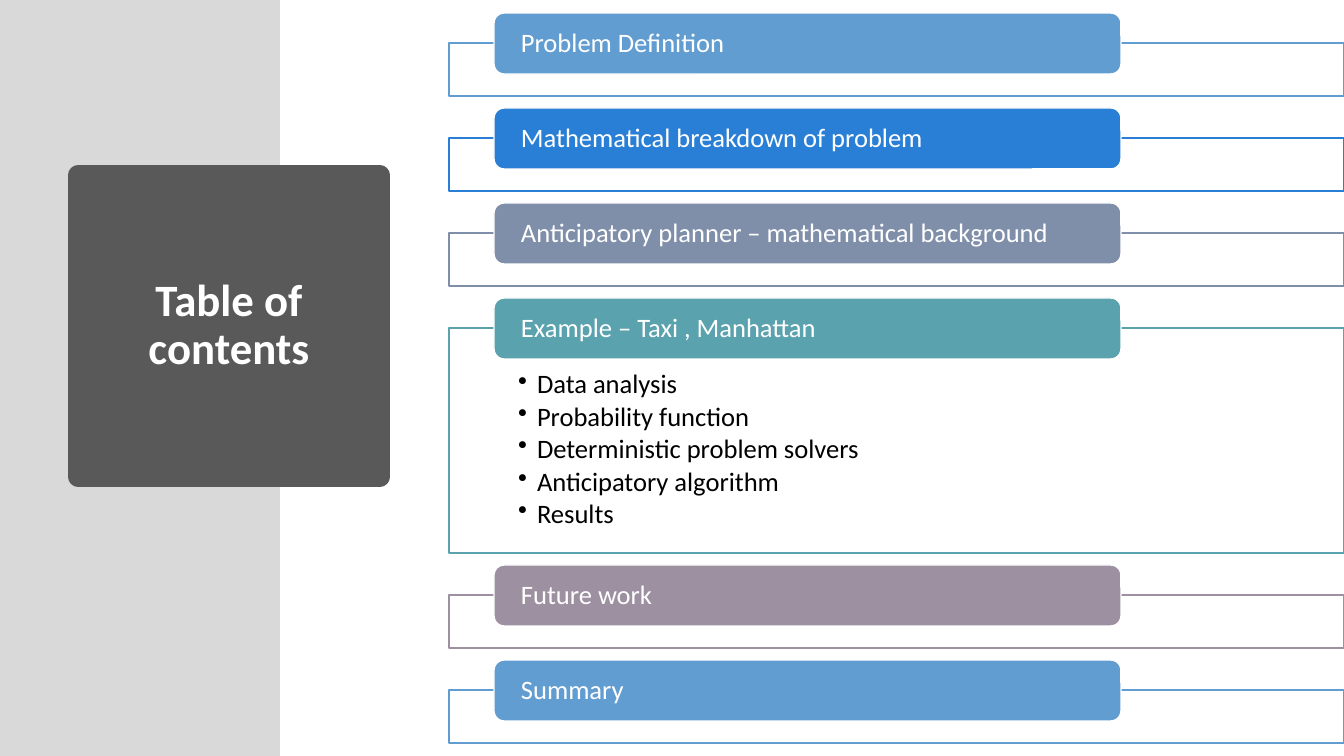
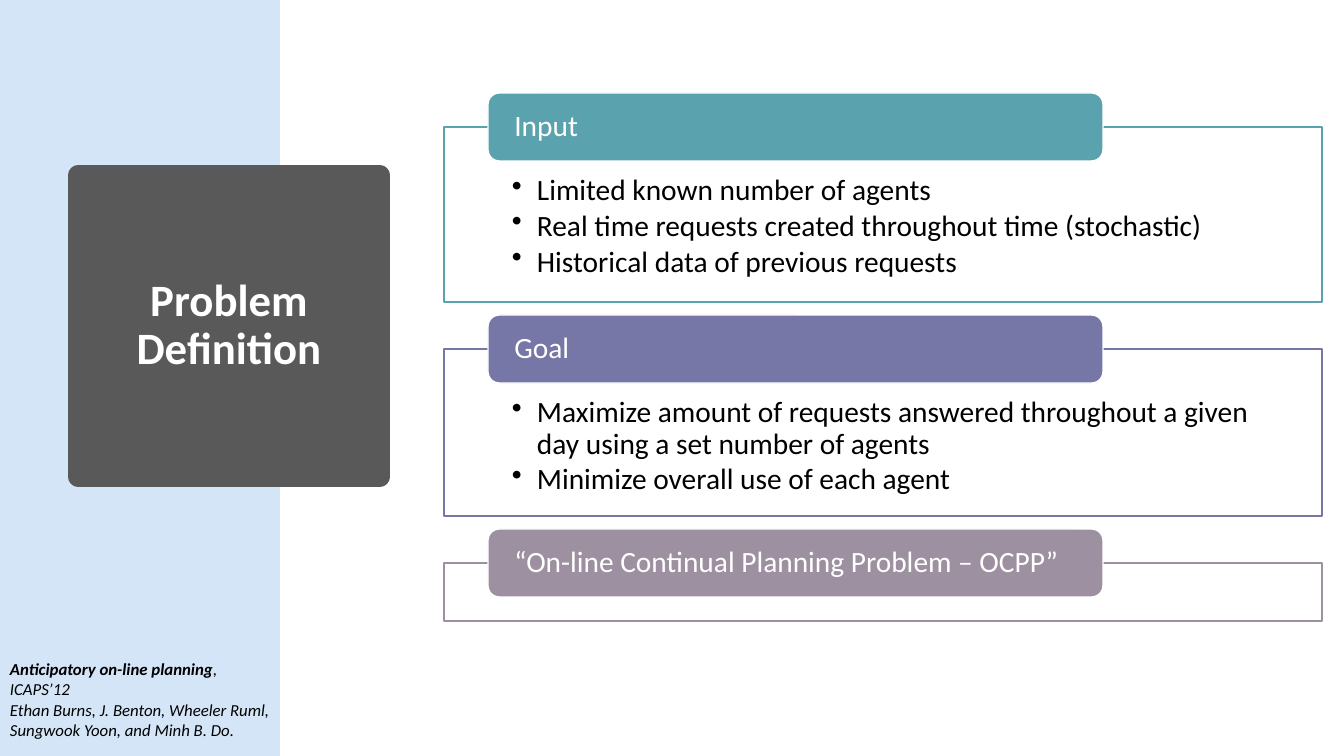
from lxml.etree import SubElement
from pptx import Presentation
from pptx.dml.color import RGBColor
from pptx.enum.shapes import MSO_SHAPE
from pptx.enum.text import MSO_ANCHOR, MSO_AUTO_SIZE, PP_ALIGN
from pptx.oxml.ns import qn
from pptx.util import Emu, Pt

WIDTH, HEIGHT = 1344, 756
SCALE = 12192000 / WIDTH

WHITE = RGBColor(0xFF, 0xFF, 0xFF)
BLACK = RGBColor(0x00, 0x00, 0x00)
CHARCOAL = RGBColor(0x59, 0x59, 0x59)
GREY = RGBColor(0xD9, 0xD9, 0xD9)
PALE_BLUE = RGBColor(0xD4, 0xE5, 0xF7)
SKY = RGBColor(0x62, 0x9D, 0xD1)
BLUE = RGBColor(0x29, 0x7F, 0xD5)
SLATE = RGBColor(0x7F, 0x8F, 0xA9)
TEAL = RGBColor(0x5A, 0xA2, 0xAE)
VIOLET = RGBColor(0x76, 0x77, 0xA6)
MAUVE = RGBColor(0x9D, 0x90, 0xA0)

CONTENTS_LIST = dict(
    top=13, frame_left=449, frame_width=895, tab_left=494, tab_width=627,
    tab_height=61, overlap=30, gap=12, size=19, tab_inset=24,
    insets=(69, 43, 69, 15), indent=19)
PROBLEM_LIST = dict(
    top=93, frame_left=444, frame_width=878, tab_left=488, tab_width=615,
    tab_height=68, overlap=34, gap=13, size=21, tab_inset=23,
    insets=(68, 48, 68, 16), indent=25)

CONTENTS = [
    ("Problem Definition", SKY, 53, []),
    ("Mathematical breakdown of problem", BLUE, 53, []),
    ("Anticipatory planner – mathematical background", SLATE, 53, []),
    ("Example – Taxi , Manhattan", TEAL, 225, [
        "Data analysis",
        "Probability function",
        "Deterministic problem solvers",
        "Anticipatory algorithm",
        "Results"]),
    ("Future work", MAUVE, 53, []),
    ("Summary", SKY, 53, []),
]
PROBLEM = [
    ("Input", TEAL, 175, [
        "Limited known number of agents",
        "Real time requests created throughout time (stochastic)",
        "Historical data of previous requests"]),
    ("Goal", VIOLET, 167, [
        "Maximize amount of requests answered throughout a given day "
        "using a set number of agents",
        "Minimize overall use of each agent"]),
    ("“On-line Continual Planning Problem – OCPP”", MAUVE, 58, []),
]
CITATION = [
    [("Anticipatory on-line planning", True), (", ICAPS’12", False)],
    [("Ethan Burns, J. Benton, Wheeler Ruml, Sungwook Yoon, and Minh B. Do.", False)],
]


def px(length):
    """Turn a length in px into EMU."""
    return Emu(round(length * SCALE))


def apply(target, values):
    """Set each attribute of the target from a dict."""
    for name, value in values.items():
        setattr(target, name, value)


class Deck:
    """Hold the shared style and the slide being built."""

    def __init__(self):
        """Start an empty widescreen presentation."""
        self.presentation = Presentation()
        apply(self.presentation, dict(slide_width=px(WIDTH), slide_height=px(HEIGHT)))
        self.slide = None

    def add_slide(self, title, band_color):
        """Add a slide with a side band and its title in a circle."""
        self.slide = self.presentation.slides.add_slide(self.presentation.slide_layouts[5])
        self.shape(MSO_SHAPE.RECTANGLE, (0, 0, 280, HEIGHT), band_color)
        self.title(title)

    def title(self, text):
        """Shape the title placeholder as a circle in front of the band."""
        shape = self.slide.shapes.title
        apply(shape, dict(left=px(78), top=px(175), width=px(302), height=px(302)))
        properties = shape.element.spPr
        geometry = SubElement(properties, qn("a:prstGeom"), prst="ellipse")
        SubElement(geometry, qn("a:avLst"))
        self.paint(shape, CHARCOAL, CHARCOAL, 13.75)
        self.slide.shapes.element.append(shape.element)
        self.text(shape, [[(text, True)]], 32, WHITE, (10, 5, 10, 5),
                  MSO_ANCHOR.MIDDLE, dict(alignment=PP_ALIGN.CENTER, line_spacing=0.9))

    def paint(self, shape, fill, line=None, line_width=1):
        """Give a shape its fill and outline."""
        shape.fill.solid()
        shape.fill.fore_color.rgb = fill
        if line is None:
            shape.line.fill.background()
        else:
            shape.line.color.rgb = line
            shape.line.width = Pt(line_width)

    def shape(self, kind, box, fill, line=None):
        """Add a flat preset shape."""
        shape = self.slide.shapes.add_shape(kind, *map(px, box))
        shape.shadow.inherit = False
        self.paint(shape, fill, line)
        return shape

    def text(self, shape, paragraphs, size, color, insets, anchor, layout,
             italic=False, indent=0):
        """Write paragraphs of (text, bold) runs, bulleted when indented."""
        frame = shape.text_frame
        sides = ("margin_left", "margin_top", "margin_right", "margin_bottom")
        apply(frame, dict(zip(sides, map(px, insets))))
        apply(frame, dict(word_wrap=True, auto_size=MSO_AUTO_SIZE.NONE,
                          vertical_anchor=anchor))
        for index, runs in enumerate(paragraphs):
            paragraph = frame.add_paragraph() if index else frame.paragraphs[0]
            if indent:
                self.bullet(paragraph, indent)
            apply(paragraph, layout)
            for words, bold in runs:
                run = paragraph.add_run()
                run.text = words
                apply(run.font, dict(name="Calibri", size=Pt(size), bold=bold, italic=italic))
                run.font.color.rgb = color

    def bullet(self, paragraph, indent):
        """Hang a paragraph behind a round bullet."""
        properties = paragraph._p.get_or_add_pPr()
        properties.set("marL", str(px(indent)))
        properties.set("indent", str(-px(indent)))
        SubElement(properties, qn("a:buChar"), char="•")

    def tabbed_list(self, sections, style):
        """Stack outlined frames, each with a coloured tab over its top edge."""
        top, size = style["top"], style["size"]
        layout = dict(alignment=PP_ALIGN.LEFT, line_spacing=0.9)
        for heading, color, height, items in sections:
            frame_top = top + style["overlap"]
            frame = self.shape(
                MSO_SHAPE.RECTANGLE,
                (style["frame_left"], frame_top, style["frame_width"], height), WHITE, color)
            tint = frame.element.spPr.find(qn("a:solidFill"))[0]
            SubElement(tint, qn("a:alpha"), val="90000")
            if items:
                self.text(frame, [[(item, False)] for item in items], size, BLACK,
                          style["insets"], MSO_ANCHOR.TOP,
                          dict(layout, space_after=Pt(size * 0.14)), indent=style["indent"])
            tab = self.shape(
                MSO_SHAPE.ROUNDED_RECTANGLE,
                (style["tab_left"], top, style["tab_width"], style["tab_height"]), color, WHITE)
            inset = style["tab_inset"]
            self.text(tab, [[(heading, False)]], size, WHITE, (inset, 0, inset, 0),
                      MSO_ANCHOR.MIDDLE, layout)
            top = frame_top + height + style["gap"]

    def citation(self, paragraphs):
        """Place a small italic reference at the foot of the band."""
        box = self.slide.shapes.add_textbox(*map(px, (0, 654, 280, 92)))
        self.text(box, paragraphs, 12, BLACK, (10, 5, 10, 5), MSO_ANCHOR.TOP,
                  dict(alignment=PP_ALIGN.LEFT), italic=True)


def main():
    """Build and save both slides."""
    deck = Deck()
    deck.add_slide("Table of contents", GREY)
    deck.tabbed_list(CONTENTS, CONTENTS_LIST)
    deck.add_slide("Problem Definition", PALE_BLUE)
    deck.tabbed_list(PROBLEM, PROBLEM_LIST)
    deck.citation(CITATION)
    deck.presentation.save("out.pptx")


if __name__ == "__main__":
    main()
